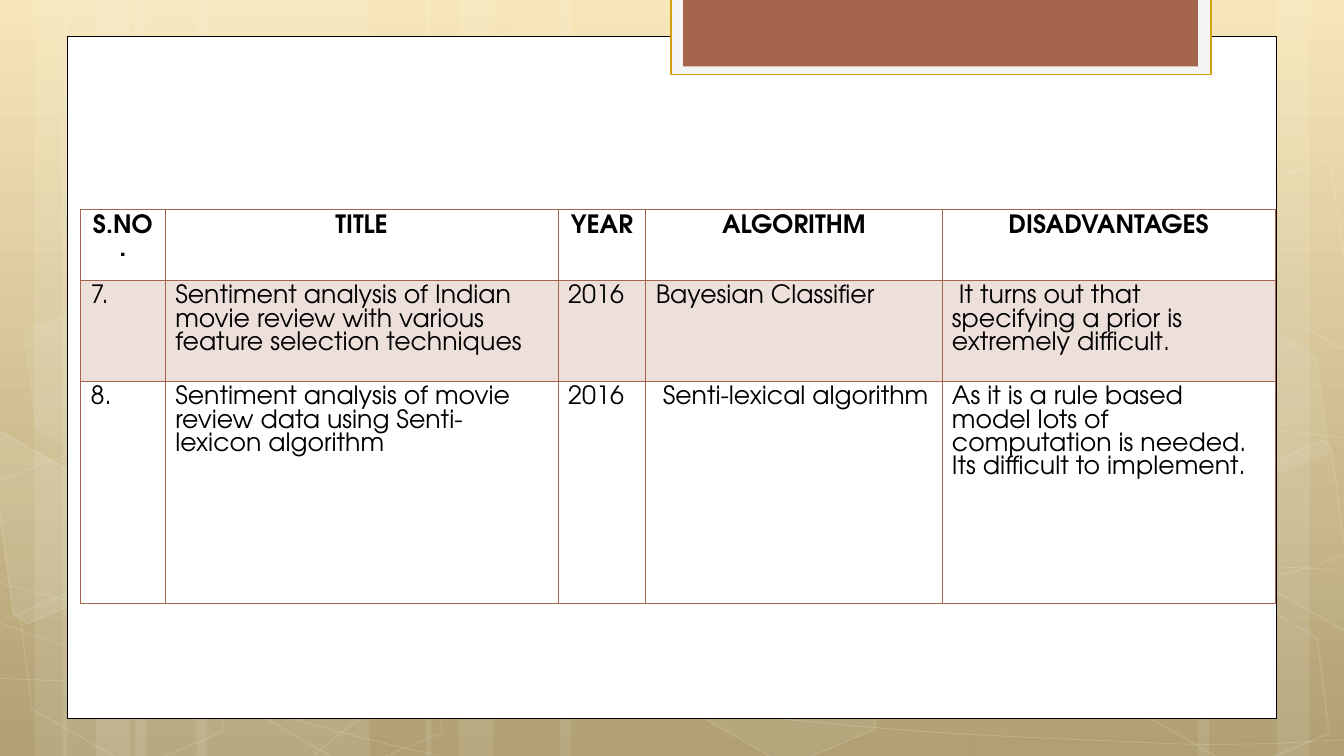
from dataclasses import dataclass

from lxml import etree
from pptx import Presentation
from pptx import util as u
from pptx.dml.color import RGBColor
from pptx.enum import shapes, text
from pptx.oxml import ns

WHITE = RGBColor(0xFF, 0xFF, 0xFF)
BLACK = RGBColor(0, 0, 0)
PALE_GREY = RGBColor(0xF5, 0xF5, 0xF5)
GOLD = RGBColor(0xD2, 0xA0, 0x10)
RUST = RGBColor(0xA5, 0x64, 0x4E)
SAND_TOP = RGBColor(0xF6, 0xE4, 0xB0)
SAND_BOTTOM = RGBColor(0xA8, 0x96, 0x63)
FONT = "TeX Gyre Adventor"
SLIDE_WIDTH, SLIDE_HEIGHT = 13.34, 7.5
TILT = 30

Point = tuple[float, float]


@dataclass
class Look:
    """Fill and outline; opacities are percentages."""
    fill: RGBColor | None = None
    fill_opacity: int = 100
    line: RGBColor | None = None
    line_width: float = 1
    line_opacity: int = 100


@dataclass
class Box:
    left: float
    top: float
    width: float
    height: float
    look: Look
    preset: shapes.MSO_SHAPE = shapes.MSO_SHAPE.RECTANGLE
    rotation: int = 0


@dataclass
class Polygon:
    points: list[Point]
    look: Look


@dataclass
class Wave:
    """A start, then three points a curve; one segment may be a straight line."""
    knots: list[Point]
    straight_segment: int | None = None


def set_opacity(parent, colour_path: str, opacity: int) -> None:
    if opacity < 100:
        for colour in parent.xpath(colour_path):
            etree.SubElement(colour, ns.qn("a:alpha")).set("val", str(opacity * 1000))


def apply_look(shape, look: Look) -> None:
    shape.shadow.inherit = False
    properties = shape._element.spPr
    if look.fill is None:
        shape.fill.background()
    else:
        shape.fill.solid()
        shape.fill.fore_color.rgb = look.fill
        set_opacity(properties, "a:solidFill/a:srgbClr", look.fill_opacity)
    if look.line is None:
        shape.line.fill.background()
    else:
        shape.line.color.rgb = look.line
        shape.line.width = u.Pt(look.line_width)
        set_opacity(properties, "a:ln/a:solidFill/a:srgbClr", look.line_opacity)


def draw_box(slide, box: Box) -> None:
    shape = slide.shapes.add_shape(box.preset, *map(u.Inches, (box.left, box.top, box.width, box.height)))
    shape.rotation = box.rotation
    if box.preset == shapes.MSO_SHAPE.HEXAGON:
        shape.adjustments[0] = 0.381
    apply_look(shape, box.look)


def add_outline(slide, points: list[Point], closed: bool):
    first, *rest = [(u.Inches(x), u.Inches(y)) for x, y in points]
    builder = slide.shapes.build_freeform(*first)
    builder.add_line_segments(rest, close=closed)
    return builder.convert_to_shape()


def draw_polygon(slide, polygon: Polygon) -> None:
    shape = add_outline(slide, polygon.points, closed=True)
    shape.rotation = TILT
    apply_look(shape, polygon.look)


def draw_wave(slide, wave: Wave) -> None:
    shape = add_outline(slide, wave.knots, closed=False)
    # Join every three line ends into one cubic Bézier curve
    steps = shape._element.xpath(".//a:lnTo")
    segment = 0
    while steps:
        if segment == wave.straight_segment:
            steps = steps[1:]
        else:
            curve = etree.Element(ns.qn("a:cubicBezTo"))
            steps[0].addprevious(curve)
            for step in steps[:3]:
                curve.append(step[0])
                step.getparent().remove(step)
            steps = steps[3:]
        segment += 1
    apply_look(shape, WAVE_LOOK)


def hexagon(left: float, top: float, fill_opacity: int = 0, line_opacity: int = 12) -> Box:
    look = Look(WHITE if fill_opacity else None, fill_opacity, WHITE, 1, line_opacity)
    return Box(left, top, 2.34, 1.52, look, shapes.MSO_SHAPE.HEXAGON, TILT)


# Background bands, waves and hexagons
BAND_LOOK = Look(WHITE, 10)
BANDS = [(1.34, 2.33), (0, 0.67), (0.34, 1.11), (1.95, 2.33), (0.62, 0.67), (0.95, 1.11),
         (9.67, 2.33), (12.67, 0.67), (11.89, 1.11), (5.56, 4.11), (4.23, 0.67), (4.56, 1.11)]
TURNED_BANDS = range(6, 9)
WAVE_LOOK = Look(line=WHITE, line_width=0.5, line_opacity=20)
WAVES = [
    Wave([(-0.01, 6.73), (0.71, 6.76), (1.43, 6.79), (2.43, 6.78), (3.43, 6.77), (4.66, 6.75), (5.99, 6.65),
          (7.33, 6.55), (9.22, 6.36), (10.45, 6.17), (11.67, 5.98), (12.92, 5.68), (13.32, 5.51)]),
    Wave([(-0.01, 4.77), (0.37, 4.61), (0.75, 4.46), (1.51, 4.31), (2.27, 4.16), (3.34, 3.94), (4.52, 3.87),
          (5.71, 3.8), (7.14, 3.79), (8.61, 3.87), (10.08, 3.95), (12.52, 4.26), (13.32, 4.34)]),
    Wave([(-0.03, 6.17), (1.58, 6.72), (3.19, 7.27), (4.35, 7.49)]),
    Wave([(-0.01, 5.78), (0.4, 5.89), (0.82, 6), (1.6, 6.16), (2.37, 6.31), (3.53, 6.56), (4.64, 6.73),
          (5.76, 6.9), (7.16, 7.08), (8.26, 7.18), (9.37, 7.29), (10.55, 7.33), (11.26, 7.36),
          (11.96, 7.4), (12.15, 7.38), (12.49, 7.38), (12.83, 7.37), (13.08, 7.35), (13.32, 7.34)]),
    Wave([(3.12, 7.49), (3.36, 7.29), (3.59, 7.09), (3.92, 6.91), (4.24, 6.72), (4.69, 6.53), (5.06, 6.39),
          (5.43, 6.25), (5.66, 6.19), (6.15, 6.09), (6.64, 5.99), (7.54, 5.85), (8, 5.78),
          (8.47, 5.71), (8.54, 5.71), (8.96, 5.69), (9.37, 5.66), (10.02, 5.63), (10.48, 5.62),
          (10.94, 5.61), (11.71, 5.62), (11.71, 5.62), (12.59, 5.62),
          (12.84, 5.63), (13.06, 5.64), (13.18, 5.65), (13.3, 5.66), (13.26, 5.65), (13.3, 5.66)], 7),
]
HEXAGONS = [hexagon(4.35, 0.36, 4, 8), hexagon(6.51, 5.89, 6)]
LOWER_HEXAGONS = [hexagon(0.04, 5.91), hexagon(0.08, 3.12, 7, 8), hexagon(2.21, 5.92),
                  hexagon(11.01, 5.93), hexagon(11.01, 3.14, 7, 8)]
LEFT_CUT = [(-0.55, 4.72), (-0.47, 4.6), (0.71, 4.6), (1.28, 5.36), (0.7, 6.12), (0.53, 6.11)]
RIGHT_CUT = [(12.12, 5.2), (12.69, 4.44), (12.8, 4.44), (13.93, 5.89), (13.87, 5.96), (12.69, 5.96)]
RIGHT_CUT_RISE = 2.79
LEFT_POLYGON = Polygon(LEFT_CUT, Look(WHITE, 10, WHITE, 1, 12))
RIGHT_POLYGONS = [
    Polygon(RIGHT_CUT, Look(WHITE, 4, WHITE, 1, 12)),
    Polygon([(x, y - RIGHT_CUT_RISE) for x, y in RIGHT_CUT], Look(line=WHITE, line_opacity=12)),
]

# White page and the tab at its top
PANELS = [
    Box(0.67, 0.36, 12, 6.77, Look(WHITE, line=BLACK, line_width=0.5)),
    Box(6.66, -0.02, 5.36, 0.76, Look(PALE_GREY, line=GOLD)),
    Box(6.78, -0.02, 5.11, 0.68, Look(RUST)),
]

# Table of surveyed papers; a line break starts a new paragraph
COLUMN_WIDTHS = [0.84, 3.9, 0.87, 2.94, 3.31]
ROW_HEIGHTS = [0.7, 1, 2.21]
PAPERS = [
    ["S.NO.", "TITLE", "YEAR", "ALGORITHM", "DISADVANTAGES"],
    ["7.", "Sentiment analysis of Indian movie review with various feature selection techniques",
     "2016", "Bayesian Classiﬁer", " It turns out that specifying a prior is extremely difficult."],
    ["8.", "Sentiment analysis of movie review data using Senti-lexicon algorithm",
     "2016", " Senti-lexical algorithm",
     "As it is a rule based model lots of computation is needed.\nIts difficult to implement."],
]


def set_borders(cell, widths: dict[str, float]) -> None:
    properties = cell._tc.get_or_add_tcPr()
    for index, (side, width) in enumerate(widths.items()):
        line = etree.Element(ns.qn(f"a:ln{side}"), w=str(u.Pt(width)))
        fill = etree.SubElement(line, ns.qn("a:solidFill"))
        etree.SubElement(fill, ns.qn("a:srgbClr")).set("val", str(RUST))
        properties.insert(index, line)


def fill_cell(cell, content: str, row: int) -> None:
    if row == 1:
        cell.fill.solid()
        cell.fill.fore_color.rgb = RUST
        set_opacity(cell._tc.tcPr, "a:solidFill/a:srgbClr", 20)
    else:
        cell.fill.background()
    set_borders(cell, {"L": 0.45, "R": 0.45, "T": 0.96 if row == 1 else 0.45, "B": 0.96 if row == 0 else 0.45})
    for index, line in enumerate(content.split("\n")):
        paragraph = cell.text_frame.add_paragraph() if index else cell.text_frame.paragraphs[0]
        paragraph.alignment = text.PP_ALIGN.LEFT if row else text.PP_ALIGN.CENTER
        paragraph.line_spacing = u.Pt(16.74)
        run = paragraph.add_run()
        run.text = line
        run.font.name, run.font.size, run.font.bold = FONT, u.Pt(18), row == 0
        run.font.color.rgb = BLACK


def draw_table(slide) -> None:
    size = sum(COLUMN_WIDTHS), sum(ROW_HEIGHTS)
    table = slide.shapes.add_table(len(ROW_HEIGHTS), len(COLUMN_WIDTHS), *map(u.Inches, (0.8, 2.08, *size))).table
    table.first_row = table.horz_banding = False
    for column, width in zip(table.columns, COLUMN_WIDTHS):
        column.width = u.Inches(width)
    for row, (height, contents) in enumerate(zip(ROW_HEIGHTS, PAPERS)):
        table.rows[row].height = u.Inches(height)
        for column, content in enumerate(contents):
            fill_cell(table.cell(row, column), content, row)


def draw_all(slide, draw, items) -> None:
    for item in items:
        draw(slide, item)


def main() -> None:
    presentation = Presentation()
    presentation.slide_width, presentation.slide_height = u.Inches(SLIDE_WIDTH), u.Inches(SLIDE_HEIGHT)
    slide = presentation.slides.add_slide(presentation.slide_layouts[6])
    background = slide.background.fill
    background.gradient()
    background.gradient_angle = 270
    for stop, colour in zip(background.gradient_stops, (SAND_TOP, SAND_BOTTOM)):
        stop.color.rgb = colour
    for index, (left, width) in enumerate(BANDS):
        rotation = 180 if index in TURNED_BANDS else 0
        draw_box(slide, Box(left, 0, width, SLIDE_HEIGHT, BAND_LOOK, rotation=rotation))
    draw_all(slide, draw_wave, WAVES)
    draw_all(slide, draw_box, HEXAGONS)
    draw_polygon(slide, LEFT_POLYGON)
    draw_all(slide, draw_box, LOWER_HEXAGONS)
    draw_all(slide, draw_polygon, RIGHT_POLYGONS)
    draw_all(slide, draw_box, PANELS)
    draw_table(slide)
    presentation.save("out.pptx")


if __name__ == "__main__":
    main()
